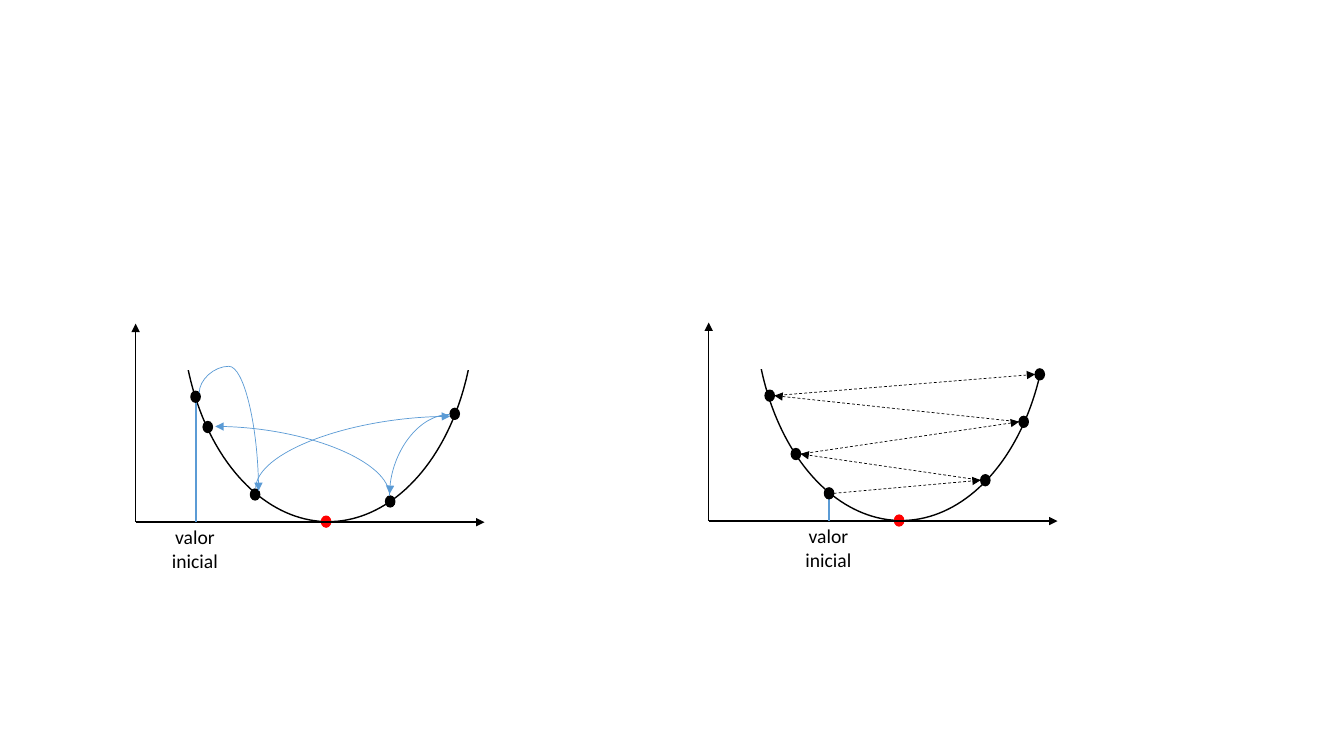
from dataclasses import dataclass
from math import cos, radians, sin
from typing import NamedTuple

from lxml.etree import SubElement
from pptx import Presentation
from pptx.dml.color import RGBColor as Rgb
from pptx.enum.dml import MSO_LINE as Dash
from pptx.enum.shapes import MSO_CONNECTOR as Link, MSO_SHAPE as Form
from pptx.enum.text import PP_ALIGN as Align
from pptx.oxml.ns import qn
from pptx.util import Pt


@dataclass(frozen=True)
class Theme:
    """Colours, type and line widths of the slide."""
    ink: str = "000000"
    paper: str = "FFFFFF"
    goal: str = "FF0000"
    blue: str = "5B9BD5"
    font: str = "Calibri"
    size: float = 14
    thin: float = 0.5
    line: float = 1
    stem: float = 1.5


class Spot(NamedTuple):
    """A point in points, measured from the origin of a plot."""
    x: float
    y: float


class Curve(NamedTuple):
    """A curved step: ends, turn in degrees, preset and its bend."""
    start: Spot
    end: Spot
    turn: int
    form: str = "curvedConnector2"
    bend: int | None = None


class Plot(NamedTuple):
    """One plot: origin, visited points, first point and steps."""
    base: Spot
    dots: list[Spot]
    first: Spot
    hops: list[Spot]
    curves: list[Curve]


THEME = Theme()
DOT_W, DOT_H = 6.6, 7.8
MID = 136
LEFT = [Spot(85.3, -19.8), Spot(227.9, -77.4), Spot(42.8, -89.6),
        Spot(181.8, -14.8), Spot(51.5, -68)]
RIGHT = [Spot(86, -19.8), Spot(197.6, -29.2), Spot(62.3, -47.9),
         Spot(225, -70.9), Spot(43.6, -89.6), Spot(236.5, -104.8)]
ARCS = [
    Curve(Spot(45.4, -92.2), Spot(87.8, -22.3), 270, "curvedConnector3", -27400),
    Curve(Spot(85.7, -23.8), Spot(224.6, -75.6), 90),
    Curve(Spot(224.6, -77), Spot(181.4, -20.2), 180),
    Curve(Spot(181.4, -18.7), Spot(56.9, -68.4), 270),
]
PLOTS = [
    Plot(Spot(506.2, 372.2), RIGHT, RIGHT[0], RIGHT, []),
    Plot(Spot(96.9, 373), LEFT, LEFT[2], [], ARCS),
]


def shift(base: Spot, spot: Spot) -> Spot:
    """Move a plot point to its place on the slide."""
    return Spot(base.x + spot.x, base.y + spot.y)


def shape(slide, form, at: Spot, w: float, h: float, fill: str | None, line: str):
    """Draw a flat preset shape from its top left corner."""
    item = slide.shapes.add_shape(form, Pt(at.x), Pt(at.y), Pt(w), Pt(h))
    item.shadow.inherit = False
    if fill:
        item.fill.solid()
        item.fill.fore_color.rgb = Rgb.from_string(fill)
    else:
        item.fill.background()
    item.line.color.rgb = Rgb.from_string(line)
    item.line.width = Pt(THEME.line)


def link(slide, start: Spot, end: Spot, *, color: str = THEME.ink,
         width: float = THEME.line, dash: bool = False, head: bool = True,
         kind=Link.STRAIGHT):
    """Draw a connector and return it."""
    item = slide.shapes.add_connector(
        kind, Pt(start.x), Pt(start.y), Pt(end.x), Pt(end.y))
    item.line.color.rgb = Rgb.from_string(color)
    item.line.width = Pt(width)
    if dash:
        item.line.dash_style = Dash.DASH
    props = item._element.spPr
    if head:
        SubElement(props.find(qn("a:ln")), qn("a:tailEnd"), type="triangle")
    SubElement(props, qn("a:effectLst"))
    return item


def arc(slide, base: Spot, curve: Curve) -> None:
    """Draw a curved arrow, turned about its middle."""
    start, end = shift(base, curve.start), shift(base, curve.end)
    mid = Spot((start.x + end.x) / 2, (start.y + end.y) / 2)
    dx, dy = (end.x - start.x) / 2, (end.y - start.y) / 2
    c, s = cos(radians(curve.turn)), sin(radians(curve.turn))
    half = Spot(dx * c + dy * s, dy * c - dx * s)
    item = link(slide, Spot(mid.x - half.x, mid.y - half.y), shift(mid, half),
                color=THEME.blue, width=THEME.thin, kind=Link.CURVE)
    props = item._element.spPr
    props.find(qn("a:xfrm")).set("rot", str(curve.turn * 60000))
    geom = props.find(qn("a:prstGeom"))
    geom.set("prst", curve.form)
    if curve.bend is not None:
        SubElement(geom.find(qn("a:avLst")), qn("a:gd"),
                   name="adj1", fmla=f"val {curve.bend}")


def write(slide, text: str, at: Spot, w: float, h: float, *,
          size: float = THEME.size, color: str = THEME.ink,
          align=Align.CENTER) -> None:
    """Write wrapped text in a box."""
    frame = slide.shapes.add_textbox(Pt(at.x), Pt(at.y), Pt(w), Pt(h)).text_frame
    frame.word_wrap = True
    para = frame.paragraphs[0]
    para.alignment = align
    run = para.add_run()
    run.text = text
    run.font.name = THEME.font
    run.font.size = Pt(size)
    run.font.color.rgb = Rgb.from_string(color)


def dot(slide, base: Spot, spot: Spot, color: str) -> None:
    """Mark a point of the plot, centred on it."""
    at = shift(base, Spot(spot.x - DOT_W / 2, spot.y - DOT_H / 2))
    shape(slide, Form.FLOWCHART_CONNECTOR, at, DOT_W, DOT_H, color, color)


def edge(spot: Spot) -> Spot:
    """Find the side of a dot that faces the middle of the bowl."""
    side = DOT_W / 2 if spot.x < MID else -DOT_W / 2
    return Spot(spot.x + side, spot.y)


def draw(slide, plot: Plot) -> None:
    """Draw the bowl, axes, points and steps of a plot."""
    base, first = plot.base, plot.first
    shape(slide, Form.OVAL, shift(base, Spot(32.8, -308.6)), 209.5, 308.2,
          None, THEME.ink)
    shape(slide, Form.RECTANGLE, shift(base, Spot(26.8, -321)), 221, 211.7,
          THEME.paper, THEME.paper)
    dot(slide, base, Spot(MID, -0.4), THEME.goal)
    for tip in (Spot(0, -141.8), Spot(249.2, 0)):
        link(slide, base, shift(base, tip))
    link(slide, shift(base, first), shift(base, Spot(first.x, 0)),
         color=THEME.blue, width=THEME.stem, head=False)
    write(slide, "valor inicial", shift(base, Spot(first.x - 29.2, -1.4)), 57.6, 41)
    for spot in plot.dots:
        dot(slide, base, spot, THEME.ink)
    for start, end in zip(plot.hops, plot.hops[1:]):
        link(slide, shift(base, edge(start)), shift(base, edge(end)),
             width=THEME.thin, dash=True)
    for curve in plot.curves:
        arc(slide, base, curve)


def main() -> None:
    """Build and save the slide."""
    deck = Presentation()
    deck.slide_width, deck.slide_height = Pt(960), Pt(540)
    slide = deck.slides.add_slide(deck.slide_layouts[6])
    for plot in PLOTS:
        draw(slide, plot)
    deck.save("out.pptx")


if __name__ == "__main__":
    main()
